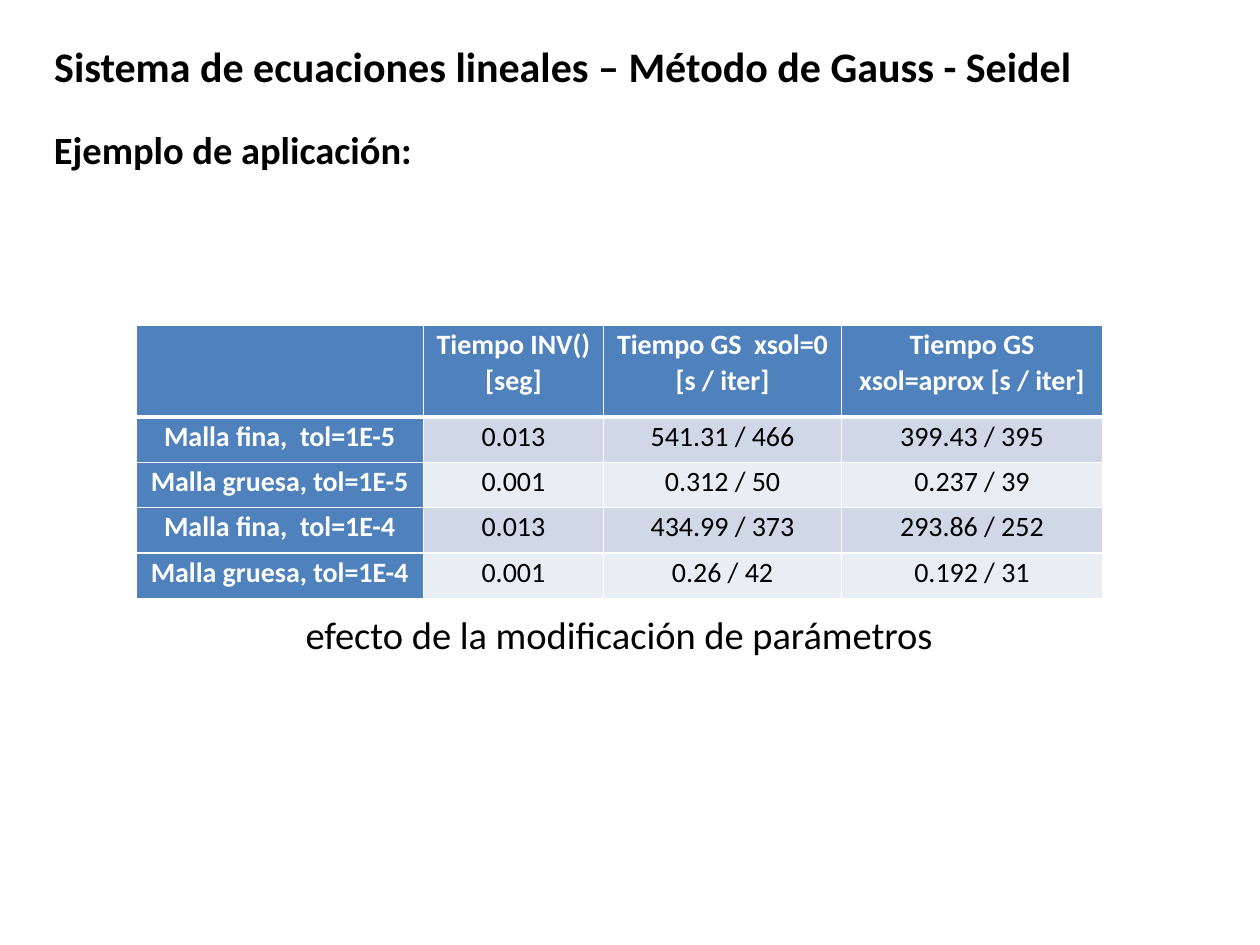
from typing import NamedTuple

from lxml import etree
from pptx import Presentation
from pptx.dml.color import RGBColor
from pptx.enum import text
from pptx.oxml.ns import qn
from pptx.util import Inches, Pt

FONT = "Calibri"
BLACK, WHITE, BLUE = "000000", "FFFFFF", "4F81BD"
BANDS = ("D0D8E8", "E9EDF4")
LEFT, CENTER = text.PP_ALIGN.LEFT, text.PP_ALIGN.CENTER


class Box(NamedTuple):
    left: float
    top: float
    width: float
    height: float

    def lengths(self) -> list:
        return [Inches(v) for v in self]


TABLE = Box(1.08, 2.58, 7.67, 2.17)
COLUMNS = (2.28, 1.43, 1.89, 2.07)
ROW_HEIGHTS = (0.73, 0.36, 0.36, 0.36, 0.36)
ROWS = (
    ("", "Tiempo INV() [seg]", "Tiempo GS  xsol=0 [s / iter]",
     "Tiempo GS xsol=aprox [s / iter]"),
    ("Malla fina,  tol=1E-5", "0.013", "541.31 / 466", "399.43 / 395"),
    ("Malla gruesa, tol=1E-5", "0.001", "0.312 / 50", "0.237 / 39"),
    ("Malla fina,  tol=1E-4", "0.013", "434.99 / 373", "293.86 / 252"),
    ("Malla gruesa, tol=1E-4", "0.001", "0.26 / 42", "0.192 / 31"),
)


def rgb(color: str) -> RGBColor:
    return RGBColor.from_string(color)


def write(tf, words: str, *, size: float, color: str = BLACK, bold: bool = False,
          align=LEFT, spacing: float = 1.0) -> None:
    tf.word_wrap = True
    p = tf.paragraphs[0]
    p.alignment, p.line_spacing = align, spacing
    p.font.size = Pt(size)
    if not words:
        return
    r = p.add_run()
    r.text = words
    r.font.name, r.font.size, r.font.bold = FONT, Pt(size), bold
    r.font.color.rgb = rgb(color)


def add_text(slide, box: Box, words: str, **style) -> None:
    sp = slide.shapes.add_textbox(*box.lengths())
    sp.text_frame.vertical_anchor = text.MSO_ANCHOR.MIDDLE
    write(sp.text_frame, words, **style)


def set_borders(cell, **widths: float) -> None:
    """Draw white borders; the keys are L, R, T and B, in that order."""
    tc_pr = cell._tc.get_or_add_tcPr()
    for i, (side, width) in enumerate(widths.items()):
        ln = etree.Element(qn(f"a:ln{side}"), w=str(Pt(width)))
        fill = etree.SubElement(ln, qn("a:solidFill"))
        etree.SubElement(fill, qn("a:srgbClr"), val=WHITE)
        tc_pr.insert(i, ln)


def fill_cell(cell, row: int, col: int, words: str) -> None:
    heading = row == 0 or col == 0
    cell.margin_left = cell.margin_right = Inches(0.07)
    cell.margin_top = cell.margin_bottom = 0
    cell.fill.solid()
    cell.fill.fore_color.rgb = rgb(BLUE if heading else BANDS[(row - 1) % 2])
    set_borders(cell, L=1, R=1, T=3 if row == 1 else 1, B=3 if row == 0 else 1)
    write(cell.text_frame, words, size=16, bold=heading, align=CENTER,
          color=WHITE if heading else BLACK, spacing=1.07)


def add_times_table(slide) -> None:
    table = slide.shapes.add_table(len(ROWS), len(COLUMNS), *TABLE.lengths()).table
    table.first_col = True
    for column, width in zip(table.columns, COLUMNS):
        column.width = Inches(width)
    for i, (height, words) in enumerate(zip(ROW_HEIGHTS, ROWS)):
        table.rows[i].height = Inches(height)
        for j, value in enumerate(words):
            fill_cell(table.cell(i, j), i, j, value)


def main() -> None:
    prs = Presentation()
    prs.slide_width, prs.slide_height = Inches(10), Inches(7.5)
    slide = prs.slides.add_slide(prs.slide_layouts[5])

    title = slide.shapes.title
    title.left, title.top, title.width, title.height = Box(0.33, 0.25, 8.83, 0.54).lengths()
    title.text_frame.vertical_anchor = text.MSO_ANCHOR.MIDDLE
    write(title.text_frame, "Sistema de ecuaciones lineales – Método de Gauss - Seidel",
          size=24, bold=True)

    add_text(slide, Box(0.33, 0.93, 8.83, 0.5), "Ejemplo de aplicación:", size=22, bold=True)
    add_times_table(slide)
    add_text(slide, Box(TABLE.left, 4.78, TABLE.width, 0.5),
             "efecto de la modificación de parámetros", size=22, align=CENTER)
    prs.save("out.pptx")


if __name__ == "__main__":
    main()
